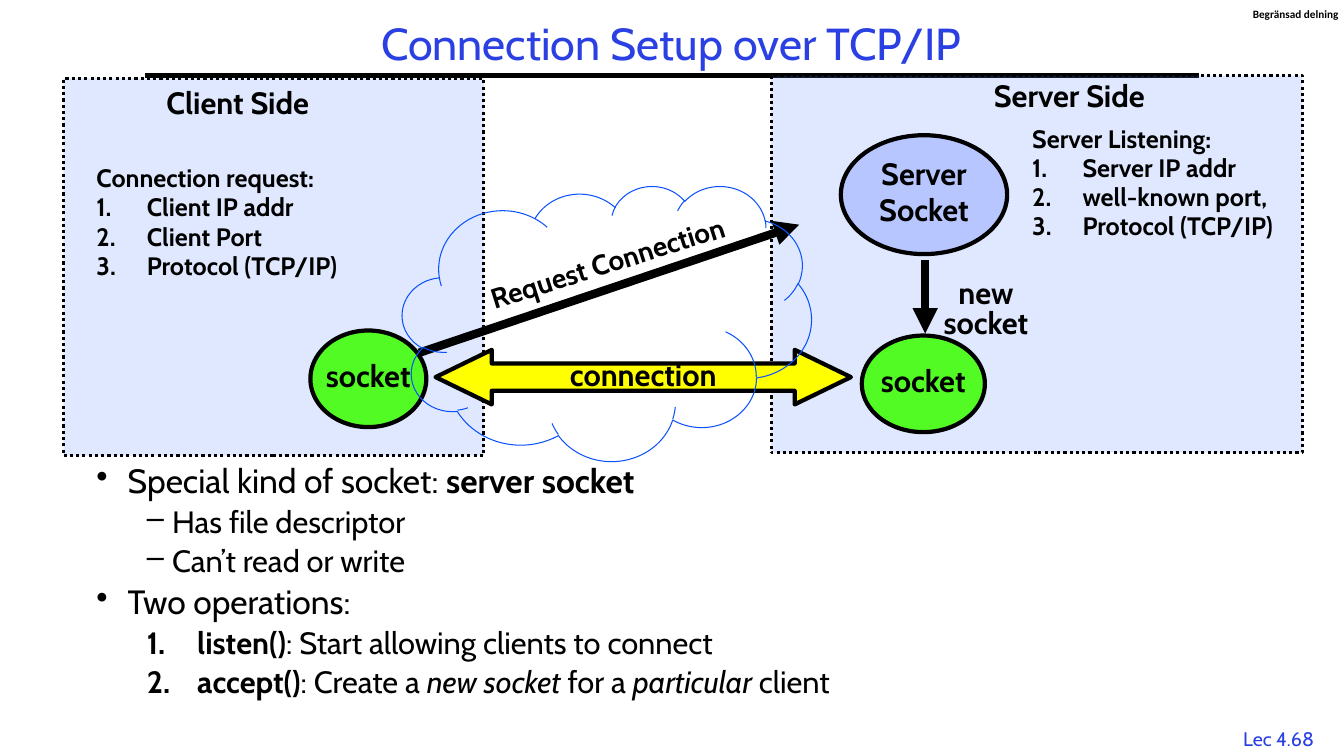
from dataclasses import dataclass
from typing import Optional

from lxml.etree import SubElement
from pptx import Presentation
from pptx.dml.color import RGBColor
from pptx.enum.dml import MSO_LINE
from pptx.enum.shapes import MSO_CONNECTOR, MSO_SHAPE
from pptx.enum.text import MSO_ANCHOR, PP_ALIGN
from pptx.oxml.ns import qn
from pptx.util import Inches, Pt

COLUMNS, ROWS = 32, 18
BLACK, BLUE, GREEN = "000000", "2A40E2", "53FB25"
PANEL, LILAC, YELLOW, CLOUD = "618FFD", "B7C6FE", "FFFF00", "0B52FC"

deck = Presentation()
deck.slide_width, deck.slide_height = Inches(13.333), Inches(7.5)
page = deck.slides.add_slide(deck.slide_layouts[6])


@dataclass(frozen=True)
class Area:
    column: float
    row: float
    columns: float
    rows: float

    def place(self) -> tuple[int, int, int, int]:
        return across(self.column), down(self.row), across(self.columns), down(self.rows)


@dataclass(frozen=True)
class Span:
    text: str
    bold: bool = False
    italic: bool = False


@dataclass(frozen=True)
class Para:
    spans: tuple[Span, ...]
    size: float = 22
    bullet: str = ""
    margin: float = 0
    hanging: float = 0
    before: float = 0
    spacing: float = 0.8
    centred: bool = True


@dataclass(frozen=True)
class Box:
    area: Area
    paras: tuple[Para, ...]
    color: str = BLACK
    font: str = "Cabin"
    wrap: bool = True
    inset: bool = True
    middle: bool = False
    rotation: float = 0


@dataclass(frozen=True)
class Figure:
    kind: MSO_SHAPE
    area: Area
    fill: Optional[str] = None
    line: str = BLACK
    width: float = 3
    lines: tuple[str, ...] = ()
    opacity: Optional[int] = None
    dotted: bool = False
    adjustments: tuple[float, ...] = ()


def across(columns: float) -> int:
    return round(deck.slide_width * columns / COLUMNS)


def down(rows: float) -> int:
    return round(deck.slide_height * rows / ROWS)


def rgb(value: str) -> RGBColor:
    return RGBColor.from_string(value)


def labels(*lines: str, size: float = 22, before: float = 0) -> tuple[Para, ...]:
    return tuple(Para((Span(line, True),), size, before=before if index else 0)
                 for index, line in enumerate(lines))


def numbered(heading: str, *items: str) -> tuple[Para, ...]:
    return (Para((Span(heading, True),), 18, centred=False),
            *(Para((Span(item, True),), 18, "1.", 0.5, 0.5, 3.6, centred=False)
              for item in items))


def point(*spans: Span, first: bool = False) -> Para:
    return Para(spans, 24, "•", 0.31, 0.31, 0 if first else 6, 0.85, False)


def subpoint(bullet: str, *spans: Span) -> Para:
    margin, hanging = (1, 0.5) if bullet == "1." else (0.75, 0.25)
    return Para(spans, 22, bullet, margin, hanging, 5.5, 0.85, False)


def write(frame, paras: tuple[Para, ...], color: str = BLACK, font: str = "Cabin") -> None:
    for index, para in enumerate(paras):
        paragraph = frame.add_paragraph() if index else frame.paragraphs[0]
        properties = paragraph._p.get_or_add_pPr()
        if para.bullet:
            properties.set("marL", str(Inches(para.margin)))
            properties.set("indent", str(-Inches(para.hanging)))
            if para.bullet == "1.":
                SubElement(properties, qn("a:buAutoNum"), type="arabicPeriod")
            else:
                SubElement(properties, qn("a:buChar"), char=para.bullet)
        paragraph.alignment = PP_ALIGN.CENTER if para.centred else PP_ALIGN.LEFT
        paragraph.line_spacing = para.spacing
        paragraph.space_before = Pt(para.before)
        for span in para.spans:
            run = paragraph.add_run()
            run.text = span.text
            run.font.name, run.font.size = font, Pt(para.size)
            run.font.bold, run.font.italic = span.bold, span.italic
            run.font.color.rgb = rgb(color)


def draw_box(box: Box) -> None:
    shape = page.shapes.add_textbox(*box.area.place())
    shape.rotation = box.rotation
    frame = shape.text_frame
    frame.word_wrap = box.wrap
    frame.vertical_anchor = MSO_ANCHOR.MIDDLE if box.middle else MSO_ANCHOR.TOP
    if not box.inset:
        frame.margin_left = frame.margin_right = frame.margin_top = frame.margin_bottom = 0
    write(frame, box.paras, box.color, box.font)


def draw_figure(figure: Figure) -> None:
    shape = page.shapes.add_shape(figure.kind, *figure.area.place())
    shape.shadow.inherit = False
    for index, value in enumerate(figure.adjustments):
        shape.adjustments[index] = value
    if figure.fill:
        shape.fill.solid()
        shape.fill.fore_color.rgb = rgb(figure.fill)
    else:
        shape.fill.background()
    if figure.opacity is not None:
        color = shape.fill._xPr.find(f"{qn('a:solidFill')}/{qn('a:srgbClr')}")
        SubElement(color, qn("a:alpha"), val=str(figure.opacity * 1000))
    shape.line.color.rgb, shape.line.width = rgb(figure.line), Pt(figure.width)
    if figure.dotted:
        shape.line.dash_style = MSO_LINE.ROUND_DOT
    if figure.lines:
        shape.text_frame.word_wrap = False
        shape.text_frame.vertical_anchor = MSO_ANCHOR.MIDDLE
        write(shape.text_frame, labels(*figure.lines, before=4.4))


def draw_line(start: tuple[float, float], end: tuple[float, float],
              width: float, arrow: bool = True) -> None:
    line = page.shapes.add_connector(MSO_CONNECTOR.STRAIGHT, across(start[0]), down(start[1]),
                                     across(end[0]), down(end[1]))
    line.line.color.rgb, line.line.width = rgb(BLACK), Pt(width)
    if arrow:
        SubElement(line.line._get_or_add_ln(), qn("a:tailEnd"), type="triangle")
    SubElement(line._element.spPr, qn("a:effectLst"))


def main() -> None:
    draw_box(Box(Area(29.28, 17.18, 2.33, 0.79),
                 (Para((Span("Lec 4.68"),), 14, spacing=1),), BLUE, wrap=False))
    draw_line((3.46, 1.8), (28.54, 1.8), 3, arrow=False)
    draw_box(Box(Area(29.83, 0.17, 2.06, 0.31),
                 (Para((Span("Begränsad delning", True),), 8, spacing=1, centred=False),),
                 font="Calibri", wrap=False, inset=False))
    for area in (Area(1.51, 1.87, 10.01, 8.98), Area(18.36, 1.8, 12.65, 8.98)):
        draw_figure(Figure(MSO_SHAPE.RECTANGLE, area, PANEL, width=2.25,
                           opacity=20, dotted=True))
    draw_box(Box(Area(3.46, 0.41, 25.06, 1.39),
                 (Para((Span("Connection Setup over TCP/IP"),), 32, spacing=0.9),),
                 BLUE, middle=True))
    draw_box(Box(Area(2.06, 10.99, 27.6, 6.9), (
        point(Span("Special kind of socket: "), Span("server socket", True), first=True),
        subpoint("–", Span("Has file descriptor")),
        subpoint("–", Span("Can’t read or write")),
        point(Span("Two operations:")),
        subpoint("1.", Span("listen()", True), Span(": Start allowing clients to connect")),
        subpoint("1.", Span("accept()", True), Span(": Create a "),
                 Span("new socket", italic=True), Span(" for a "),
                 Span("particular ", italic=True), Span("client")))))
    for figure in (
        Figure(MSO_SHAPE.OVAL, Area(7.39, 7.87, 2.76, 2.3), GREEN, lines=("socket",)),
        Figure(MSO_SHAPE.OVAL, Area(20.02, 3.22, 3.96, 2.83), LILAC, lines=("Server", "Socket")),
        Figure(MSO_SHAPE.OVAL, Area(20.52, 7.99, 2.93, 2.3), GREEN, lines=("socket",)),
        Figure(MSO_SHAPE.LEFT_RIGHT_ARROW, Area(10.37, 8.33, 9.89, 1.3), YELLOW,
               lines=("connection",), adjustments=(0.5, 1.03)),
    ):
        draw_figure(figure)
    draw_line((22.03, 6.19), (22.03, 7.94), 6)
    draw_line((9.98, 8.4), (19.03, 5.35), 6)
    for box in (
        Box(Area(24.34, 2.95, 6.67, 3), numbered(
            "Server Listening:", "Server IP addr", "well-known port,", "Protocol (TCP/IP)")),
        Box(Area(2.06, 3.89, 6.67, 3), numbered(
            "Connection request:", "Client IP addr", "Client Port", "Protocol (TCP/IP)")),
        Box(Area(22.06, 6.58, 2.83, 1.66), labels("new", "socket")),
        Box(Area(10.97, 5.88, 7.03, 0.89), labels("Request Connection", size=20),
            rotation=342.5),
        Box(Area(23.18, 1.87, 4.56, 0.94), labels("Server Side")),
        Box(Area(3.5, 2.04, 4.32, 0.94), labels("Client Side")),
    ):
        draw_box(box)
    draw_figure(Figure(MSO_SHAPE.CLOUD, Area(9.58, 4.42, 9.74, 6.55), line=CLOUD, width=0.75))
    deck.save("out.pptx")


if __name__ == "__main__":
    main()
